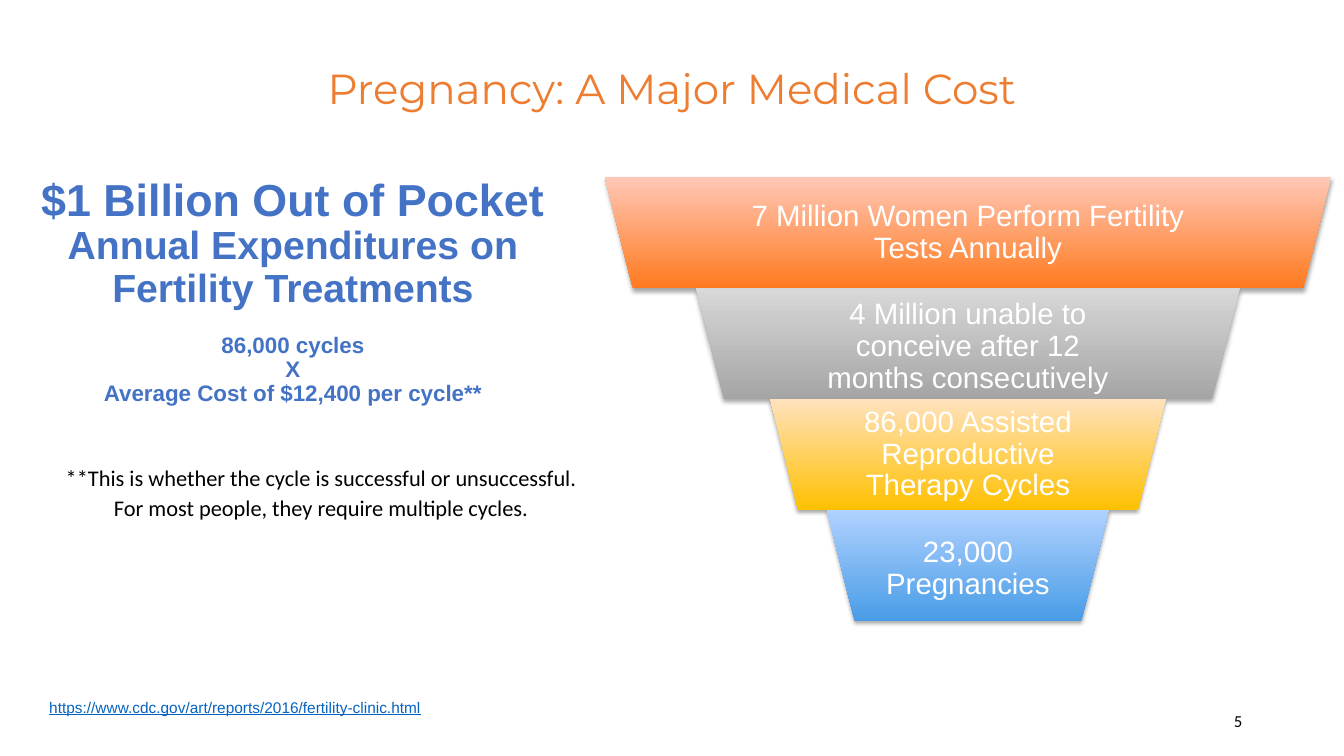
from lxml import etree
from pptx import Presentation
from pptx import util as u
from pptx.dml.color import RGBColor
from pptx.enum import shapes, text
from pptx.oxml.ns import qn

TITLE = "Pregnancy: A Major Medical Cost"
HEADLINE = [
    [("$1 Billion Out of Pocket ", "headline"),
     ("Annual Expenditures on Fertility Treatments", "subhead")],
    [("86,000 cycles", "formula")],
    [("X", "formula")],
    [("Average Cost of $12,400 per cycle**", "formula")],
]
FOOTNOTE = ("**This is whether the cycle is successful or unsuccessful. "
            "For most people, they require multiple cycles.")
SOURCE = "https://www.cdc.gov/art/reports/2016/fertility-clinic.html"
PAGE_NUMBER = "5"
FUNNEL = [
    {"label": "7 Million Women Perform Fertility Tests Annually",
     "width": 7.2, "label_width": 4.68, "drop": 0, "colours": ("FF7A1F", "FFC7B6")},
    {"label": "4 Million unable to conceive after 12 months consecutively",
     "width": 5.39, "label_width": 3.13, "drop": 0.06, "colours": ("A5A5A5", "D8D8D8")},
    {"label": "86,000 Assisted Reproductive Therapy Cycles",
     "width": 3.92, "label_width": 2.55, "drop": 0, "colours": ("FFC000", "FFE2BD")},
    {"label": "23,000 Pregnancies",
     "width": 2.8, "label_width": 2.43, "drop": 0.07, "colours": ("499CE7", "B0D2FF")},
]

THEME = {
    "title": {"name": "Montserrat", "size": 30, "color": "ED7D31"},
    "headline": {"name": "Arial", "size": 32, "color": "4472C4", "bold": True},
    "subhead": {"name": "Arial", "size": 28, "color": "4472C4", "bold": True},
    "formula": {"name": "Arial", "size": 16, "color": "4472C4", "bold": True},
    "footnote": {"name": "Calibri", "size": 16, "color": "000000"},
    "source": {"name": "Arial", "size": 11, "color": "0563C1", "underline": True},
    "number": {"name": "Calibri", "size": 12, "color": "000000"},
    "label": {"name": "Arial", "size": 21, "color": "FFFFFF"},
}
SHADOW = {"blurRad": u.Pt(3.1), "dist": u.Pt(1.8), "dir": 90 * 60000,
          "rotWithShape": 0}
SHADOW_COLOUR, SHADOW_ALPHA = "000000", 35000

CONTENT_TOP = 1.76
FUNNEL_CENTRE = 9.6
BAND_HEIGHT = 1.1
FORMULA_GAP = 17
LEFT, CENTRE, RIGHT = text.PP_ALIGN.LEFT, text.PP_ALIGN.CENTER, text.PP_ALIGN.RIGHT
TOP, MIDDLE = text.MSO_ANCHOR.TOP, text.MSO_ANCHOR.MIDDLE


def style_span(span, style):
    for key, value in THEME[style].items():
        if key == "color":
            span.font.color.rgb = RGBColor.from_string(value)
        else:
            setattr(span.font, key, u.Pt(value) if key == "size" else value)


def add_text(page, place, paragraphs, align=CENTRE, anchor=TOP,
             inset=(0, 0), spacing=0.9):
    box = page.shapes.add_textbox(*map(u.Inches, place))
    frame = box.text_frame
    side, end = map(u.Inches, inset)
    settings = {"word_wrap": True, "vertical_anchor": anchor,
                "margin_left": side, "margin_right": side,
                "margin_top": end, "margin_bottom": end}
    for key, value in settings.items():
        setattr(frame, key, value)
    for index, spans in enumerate(paragraphs):
        para = frame.add_paragraph() if index else frame.paragraphs[0]
        para.alignment, para.line_spacing = align, spacing
        for words, style in spans:
            span = para.add_run()
            span.text = words
            style_span(span, style)
    return box


def add_shadow(shape):
    shape.shadow.inherit = False
    effects = shape.element.spPr.find(qn("a:effectLst"))
    shadow = etree.SubElement(effects, qn("a:outerShdw"))
    for key, value in SHADOW.items():
        shadow.set(key, str(int(value)))
    colour = etree.SubElement(shadow, qn("a:srgbClr"), val=SHADOW_COLOUR)
    etree.SubElement(colour, qn("a:alpha"), val=str(SHADOW_ALPHA))


def add_band(page, row, band):
    top = CONTENT_TOP + row * BAND_HEIGHT
    place = (FUNNEL_CENTRE - band["width"] / 2, top, band["width"], BAND_HEIGHT)
    shape = page.shapes.add_shape(shapes.MSO_SHAPE.TRAPEZOID, *map(u.Inches, place))
    shape.rotation = 180
    shape.fill.gradient()
    shape.fill.gradient_angle = 90
    for stop, colour in zip(shape.fill.gradient_stops, band["colours"]):
        stop.color.rgb = RGBColor.from_string(colour)
    shape.element.spPr.find(qn("a:gradFill")).set("rotWithShape", "0")
    shape.line.fill.background()
    add_shadow(shape)
    label_place = (FUNNEL_CENTRE - band["label_width"] / 2, top + band["drop"],
                   band["label_width"], BAND_HEIGHT - band["drop"])
    add_text(page, label_place, [[(band["label"], "label")]],
             anchor=MIDDLE, inset=(0.03, 0.03))


def main():
    deck = Presentation()
    deck.slide_width, deck.slide_height = u.Inches(13.33), u.Inches(7.5)
    page = deck.slides.add_slide(deck.slide_layouts[6])
    add_text(page, (0.39, 0.61, 12.55, 0.59), [[(TITLE, "title")]],
             anchor=MIDDLE, inset=(0.1, 0.05))
    add_text(page, (9.42, 6.95, 3, 0.4), [[(PAGE_NUMBER, "number")]],
             align=RIGHT, anchor=MIDDLE, inset=(0.1, 0.05), spacing=1.0)
    add_text(page, (0.39, 6.83, 10.7, 0.4), [[(SOURCE, "source")]],
             align=LEFT, inset=(0.1, 0.1), spacing=1.0)
    add_text(page, (0.62, 4.58, 5.13, 1.25), [[(FOOTNOTE, "footnote")]], spacing=1.1)
    for row, band in enumerate(FUNNEL):
        add_band(page, row, band)
    headline = add_text(page, (0.07, CONTENT_TOP, 5.67, 0.55), HEADLINE)
    headline.text_frame.paragraphs[1].space_before = u.Pt(FORMULA_GAP)
    deck.save("out.pptx")


if __name__ == "__main__":
    main()
